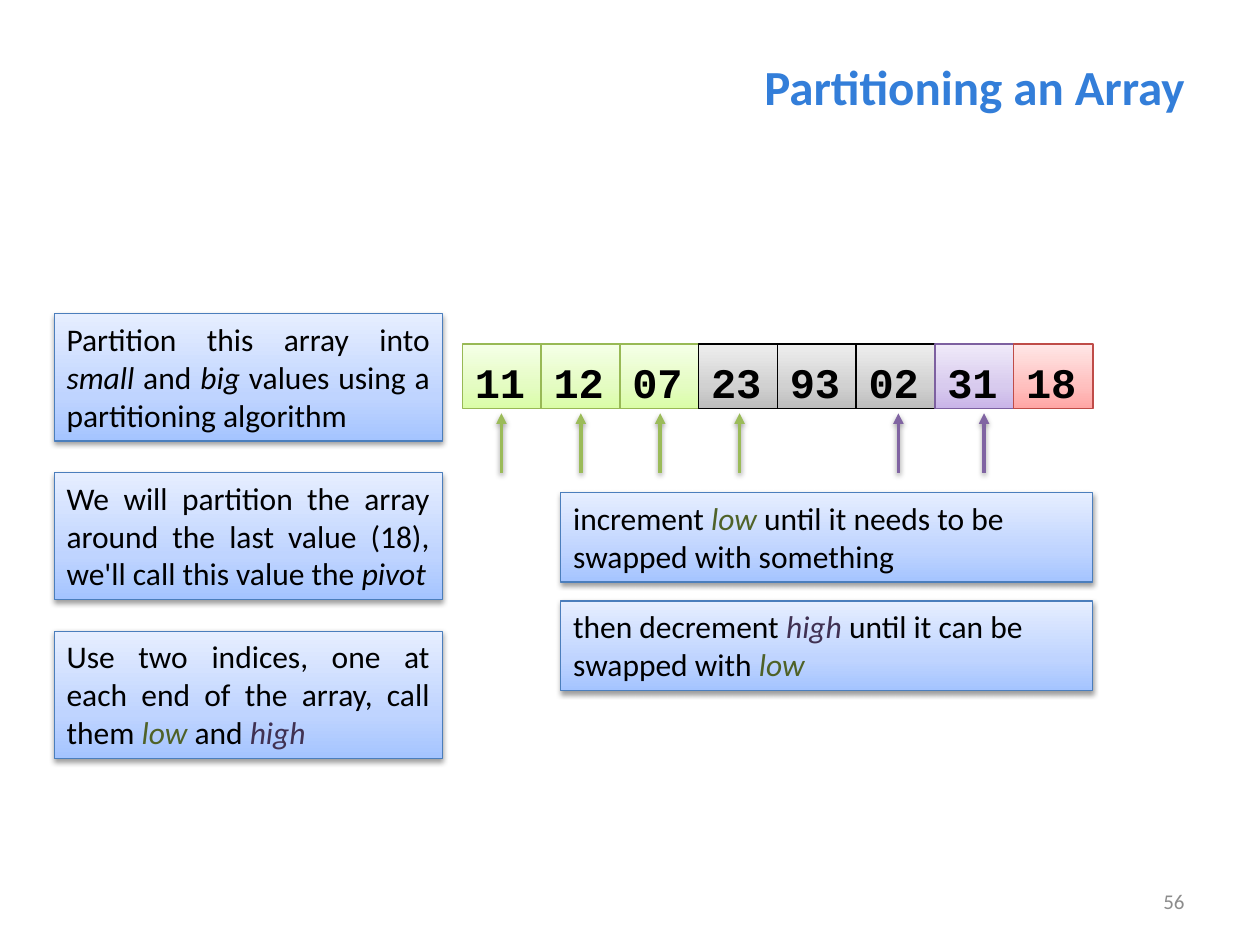
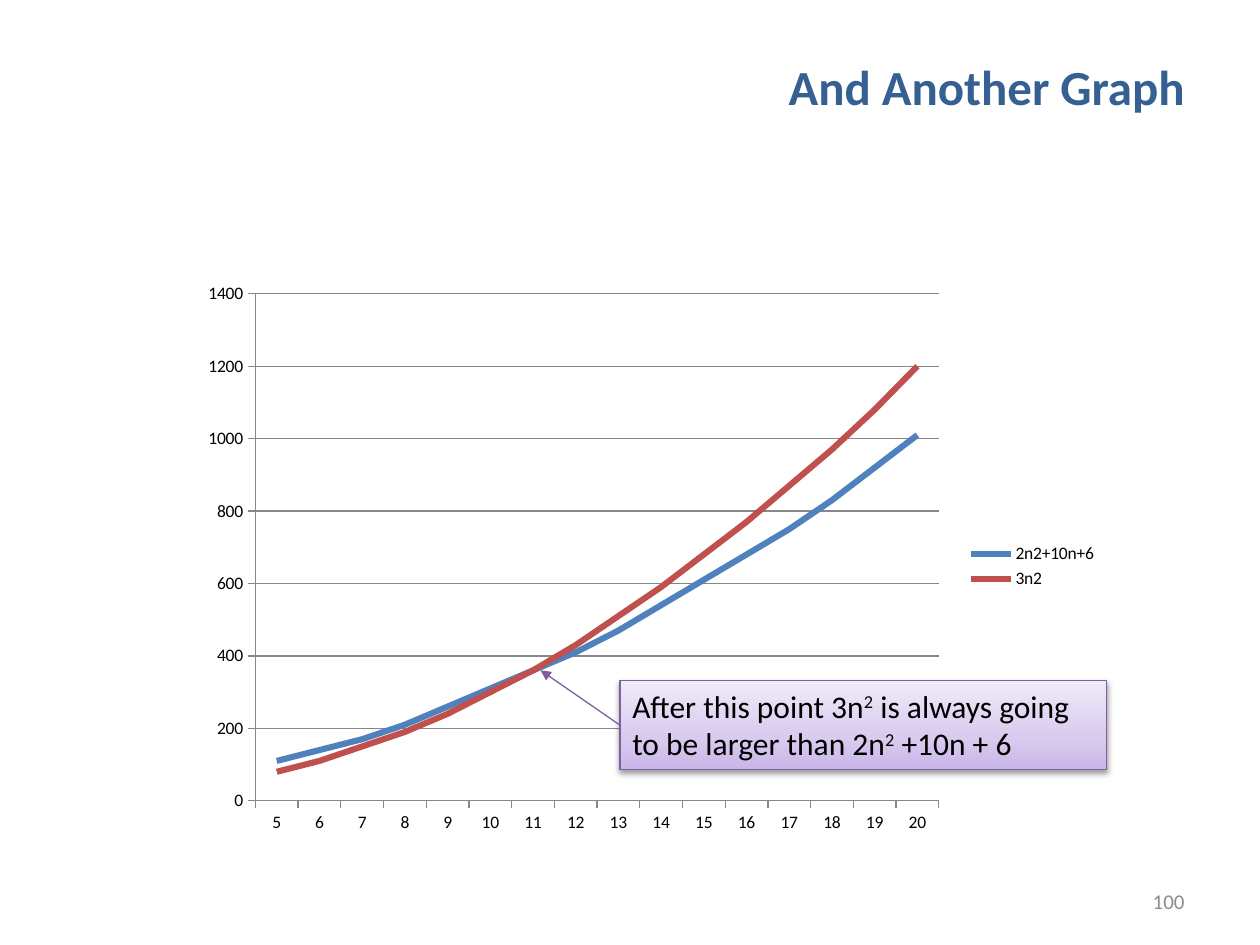
from copy import deepcopy

from lxml import etree
from pptx import Presentation
from pptx.chart.data import CategoryChartData
from pptx.dml.color import RGBColor
from pptx.enum.chart import XL_CHART_TYPE, XL_LEGEND_POSITION, XL_TICK_MARK
from pptx.enum.shapes import MSO_CONNECTOR, MSO_SHAPE
from pptx.enum.text import MSO_ANCHOR, MSO_AUTO_SIZE, PP_ALIGN
from pptx.oxml import parse_xml
from pptx.oxml.ns import nsdecls, qn
from pptx.util import Inches, Pt

BLACK = RGBColor(0x00, 0x00, 0x00)
TITLE_BLUE = RGBColor(0x33, 0x7E, 0xD9)
TITLE_NAVY = RGBColor(0x37, 0x60, 0x92)
NUMBER_GRAY = RGBColor(0x8C, 0x8C, 0x8C)
AXIS_GRAY = RGBColor(0x86, 0x86, 0x86)
LOW_TEXT = RGBColor(0x4F, 0x62, 0x28)
HIGH_TEXT = RGBColor(0x40, 0x31, 0x52)
LOW_ARROW = RGBColor(0x9B, 0xBB, 0x59)
HIGH_ARROW = RGBColor(0x80, 0x64, 0xA2)
PURPLE_LINE = RGBColor(0x7D, 0x60, 0xA0)
SERIES_BLUE = RGBColor(0x4F, 0x81, 0xBD)
SERIES_RED = RGBColor(0xC0, 0x50, 0x4D)


def theme(line, *stops):
    return line, [RGBColor.from_string(s) for s in stops]


BLUE = theme(RGBColor(0x4B, 0x7E, 0xBC), "A4C4FF", "BFD4FF", "E6EEFF")
GRAY = theme(BLACK, "BDBDBD", "D1D1D1", "EEEEEE")
RED = theme(RGBColor(0xBF, 0x4C, 0x48), "FFA6A5", "FFC0BF", "FFE7E7")
PURPLE = theme(PURPLE_LINE, "C9B5E8", "D8CBEE", "F0EAF9")
GREEN = theme(RGBColor(0x98, 0xB9, 0x55), "DAFDA7", "E4FCC2", "F5FFE7")

BODY = dict(name="Calibri", size=Pt(18), color=BLACK)
CELL = dict(name="Courier New", size=Pt(24), color=BLACK, bold=True)
ITALIC = dict(italic=True)
LOW = dict(italic=True, color=LOW_TEXT)
HIGH = dict(italic=True, color=HIGH_TEXT)
SUPER = dict(baseline="30000")


def style_font(font, **values):
    for key, value in values.items():
        if key == "color":
            font.color.rgb = value
        else:
            setattr(font, key, value)


def write(sp, runs, base, align=PP_ALIGN.LEFT, **frame):
    tf = sp.text_frame
    for key, value in dict(word_wrap=True, **frame).items():
        setattr(tf, key, value)
    p = tf.paragraphs[0]
    p.alignment = align
    for text, extra in runs:
        r = p.add_run()
        r.text = text
        values = {**base, **extra}
        baseline = values.pop("baseline", None)
        style_font(r.font, **values)
        if baseline:
            r._r.get_or_add_rPr().set("baseline", baseline)


def add_label(slide, text, box, base):
    sp = slide.shapes.add_textbox(*map(Inches, box))
    write(sp, [(text, {})], base, PP_ALIGN.RIGHT, vertical_anchor=MSO_ANCHOR.MIDDLE)


def add_base_slide(prs, title, color, number):
    slide = prs.slides.add_slide(prs.slide_layouts[6])
    add_label(slide, title, (1.61, 0.38, 7.89, 0.61),
              dict(name="Calibri", size=Pt(28), bold=True, color=color))
    add_label(slide, number, (7.17, 6.95, 2.33, 0.4),
              dict(name="Calibri", size=Pt(12), color=NUMBER_GRAY))
    return slide


def add_shadow(effects):
    effects.append(parse_xml(
        f'<a:outerShdw {nsdecls("a")} blurRad="{Pt(3.1)}" dist="{Pt(1.6)}" dir="5400000"'
        ' rotWithShape="0"><a:srgbClr val="000000"><a:alpha val="38000"/></a:srgbClr>'
        '</a:outerShdw>'))


def add_gradient_rect(slide, box, colors):
    line, stops = colors
    sp = slide.shapes.add_shape(MSO_SHAPE.RECTANGLE, *map(Inches, box))
    sp.fill.gradient()
    sp.fill.gradient_angle = 90
    gs_list = sp._element.spPr.find(".//" + qn("a:gsLst"))
    gs_list.append(deepcopy(gs_list[0]))
    for stop, position, color in zip(sp.fill.gradient_stops, (0, 0.35, 1), stops):
        stop.position = position
        stop.color.rgb = color
    sp.line.color.rgb = line
    sp.line.width = Pt(0.75)
    sp.shadow.inherit = False
    return sp


def add_note(slide, box, runs, colors=BLUE, align=PP_ALIGN.LEFT):
    sp = add_gradient_rect(slide, box, colors)
    add_shadow(sp._element.spPr.find(qn("a:effectLst")))
    write(sp, runs, BODY, align, vertical_anchor=MSO_ANCHOR.TOP,
          auto_size=MSO_AUTO_SIZE.SHAPE_TO_FIT_TEXT)
    return sp


def add_cell(slide, left, value, colors):
    sp = add_gradient_rect(slide, (left, 2.73, 0.63, 0.51), colors)
    write(sp, [(value, {})], CELL, vertical_anchor=MSO_ANCHOR.MIDDLE,
          margin_top=Inches(0.11), margin_bottom=Inches(0.02))


def add_arrow(slide, start, end, color, width, shadow=False):
    cn = slide.shapes.add_connector(MSO_CONNECTOR.STRAIGHT, *map(Inches, start + end))
    cn.line.color.rgb = color
    cn.line.width = Pt(width)
    etree.SubElement(cn.line._get_or_add_ln(), qn("a:tailEnd"), type="triangle")
    effects = etree.SubElement(cn._element.spPr, qn("a:effectLst"))
    if shadow:
        add_shadow(effects)
    return cn


def set_plot_layout(chart, x, y, w, h):
    area = chart._chartSpace.chart.plotArea
    for layout in area.findall(qn("c:layout")):
        area.remove(layout)
    values = dict(layoutTarget="inner", xMode="edge", yMode="edge", x=x, y=y, w=w, h=h)
    body = "".join(f'<c:{k} val="{v}"/>' for k, v in values.items())
    area.insert(0, parse_xml(
        f'<c:layout {nsdecls("c")}><c:manualLayout>{body}</c:manualLayout></c:layout>'))


def add_growth_chart(slide):
    sizes = range(5, 21)
    data = CategoryChartData(number_format="0")
    data.categories = [str(n) for n in sizes]
    data.add_series("2n2+10n+6", [round(2 * n * n + 10 * n + 6, -1) for n in sizes])
    data.add_series("3n2", [round(3 * n * n, -1) for n in sizes])
    box = map(Inches, (1.54, 2.18, 7.27, 4.63))
    chart = slide.shapes.add_chart(XL_CHART_TYPE.LINE, *box, data).chart
    style_font(chart.font, name="Calibri", size=Pt(10), color=BLACK)
    chart.has_title = False
    chart.has_legend = True
    chart.legend.position = XL_LEGEND_POSITION.RIGHT
    chart.legend.include_in_layout = False
    set_plot_layout(chart, 0.067, 0.033, 0.746, 0.869)

    plot = chart.plots[0]
    plot.vary_by_categories = False
    for series, color in zip(plot.series, (SERIES_BLUE, SERIES_RED)):
        series.smooth = False
        series.format.line.color.rgb = color
        series.format.line.width = Pt(3.5)

    value_axis = chart.value_axis
    value_axis.has_major_gridlines = True
    for key, value in dict(minimum_scale=0, maximum_scale=1400, major_unit=200).items():
        setattr(value_axis, key, value)
    value_axis.tick_labels.number_format = "0"
    value_axis.tick_labels.number_format_is_linked = False
    for axis in (chart.category_axis, value_axis):
        axis.major_tick_mark = XL_TICK_MARK.OUTSIDE
        axis.minor_tick_mark = XL_TICK_MARK.NONE
    for part in (chart.category_axis, value_axis, value_axis.major_gridlines):
        part.format.line.color.rgb = AXIS_GRAY
        part.format.line.width = Pt(0.75)


def build_partition_slide(prs):
    slide = add_base_slide(prs, "Partitioning an Array", TITLE_BLUE, "56")
    steps = [
        [("Partition this array into ", {}), ("small", ITALIC), (" and ", {}),
         ("big", ITALIC), (" values using a partitioning algorithm", {})],
        [("We will partition the array around the last value (18), "
          "we'll call this value the ", {}), ("pivot", ITALIC)],
        [("Use two indices, one at each end of the array, call them ", {}),
         ("low ", LOW), ("and ", {}), ("high", HIGH)],
    ]
    for i, runs in enumerate(steps):
        add_note(slide, (0.43, 2.49 + 1.26 * i, 3.08, 1.01), runs, align=PP_ALIGN.JUSTIFY)

    values = ["11", "12", "07", "23", "93", "02", "31", "18"]
    colors = [GREEN] * 3 + [GRAY] * 3 + [PURPLE, RED]
    for i, (value, color) in enumerate(zip(values, colors)):
        add_cell(slide, 3.67 + 0.625 * i, value, color)

    low_arrows = [(3.98 + 0.63 * i, LOW_ARROW) for i in range(4)]
    high_arrows = [(x, HIGH_ARROW) for x in (7.13, 7.81)]
    for x, color in low_arrows + high_arrows:
        add_arrow(slide, (x, 3.75), (x, 3.28), color, 2, shadow=True)

    moves = [
        [("increment ", {}), ("low ", LOW),
         ("until it needs to be swapped with something", {})],
        [("then decrement ", {}), ("high ", HIGH),
         ("until it can be swapped with ", {}), ("low", LOW)],
    ]
    for i, runs in enumerate(moves):
        add_note(slide, (4.45, 3.91 + 0.86 * i, 4.22, 0.71), runs)


def build_graph_slide(prs):
    slide = add_base_slide(prs, "And Another Graph", TITLE_NAVY, "100")
    add_growth_chart(slide)
    runs = [("After this point 3n", {}), ("2", SUPER),
            (" is always going to be larger than 2n", {}), ("2", SUPER),
            (" +10n + 6", {})]
    note = add_note(slide, (4.92, 5.4, 3.86, 0.71), runs, PURPLE)
    arrow = add_arrow(slide, (4.92, 5.75), (4.29, 5.32), PURPLE_LINE, 0.75)
    arrow.begin_connect(note, 1)


def main():
    prs = Presentation()
    prs.slide_width = Inches(10)
    prs.slide_height = Inches(7.5)
    build_partition_slide(prs)
    build_graph_slide(prs)
    prs.save("out.pptx")


if __name__ == "__main__":
    main()
